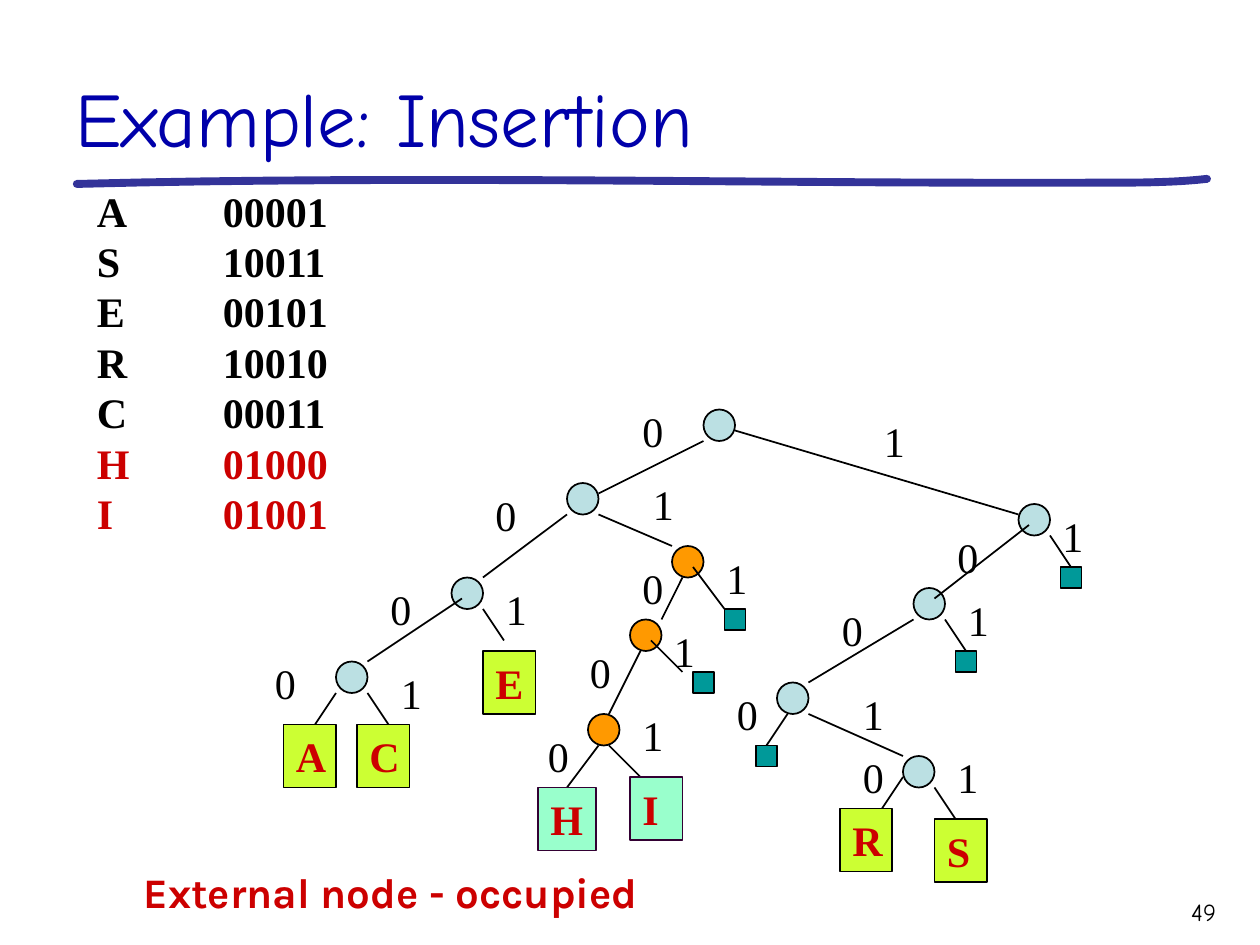
from dataclasses import dataclass
from lxml.etree import SubElement
from pptx import Presentation
from pptx.dml.color import RGBColor
from pptx.enum.shapes import MSO_CONNECTOR, MSO_SHAPE
from pptx.enum.text import MSO_ANCHOR, PP_ALIGN
from pptx.oxml.ns import qn
from pptx.util import Inches, Pt


@dataclass(frozen=True)
class Theme:
    title: str = "0000AA"
    rule: str = "333399"
    ink: str = "000000"
    red: str = "CC0000"
    node: str = "BBE0E3"
    fresh: str = "FF9900"
    empty: str = "009999"
    leaf: str = "CCFF33"
    added: str = "99FFCC"
    plum: str = "330033"
    hand: str = "Comic Neue"
    serif: str = "Times New Roman"
    sans: str = "Karla"
    big: int = 44
    body: int = 24
    small: int = 14


T = Theme()
UNIT = 1 / 12  # the tree sits on a grid of twelfths of an inch

CODES = [("A", "00001"), ("S", "10011"), ("E", "00101"), ("R", "10010"),
         ("C", "00011"), ("H", "01000"), ("I", "01001")]
NEW = "HI"

# Tree parts in grid units, from the corner of the tree's box
NODES = [(43, 3), (30, 10), (19, 19), (8, 27), (73, 12), (63, 20), (50, 29), (62, 36)]
FRESH = [(40, 16), (36, 23), (32, 32)]
EDGES = [
    (43, 6, 33, 11), (30, 13, 22, 19), (20, 21, 11, 27), (46, 5, 73, 13),
    (74, 14, 65, 21), (63, 23, 53, 29), (53, 32, 62, 36), (33, 13, 40, 16),
    (22, 22, 24, 25), (11, 30, 13, 33), (76, 15, 78, 18), (66, 23, 68, 26),
    (65, 39, 67, 42), (8, 30, 6, 33), (51, 32, 49, 35), (62, 38, 60, 41),
    (41, 19, 39, 23), (37, 26, 34, 32), (42, 18, 45, 22), (38, 25, 41, 28),
    (33, 35, 30, 39), (34, 35, 38, 39),
]
EMPTY = [(77, 18), (67, 26), (48, 35), (45, 22), (42, 28)]
LEAVES = [("A", 3, 33, 5), ("C", 10, 33, 5), ("E", 22, 26, 5), ("R", 56, 41, 5),
          ("S", 65, 42, 5), ("H", 27.25, 39, 5.5), ("I", 36, 38, 5)]
BITS = {
    "0": [(36, 2), (22, 10), (12, 19), (1, 26), (66, 14), (55, 21), (45, 29),
          (57, 35), (36, 17), (31, 25), (27, 33)],
    "1": [(59, 3), (76, 12), (67, 20), (57, 29), (66, 35), (37, 9), (23, 19),
          (13, 27), (44, 16), (39, 23), (36, 31)],
}


def style(para, font, size, color, bold=False):
    para.font.name = font
    para.font.size = Pt(size)
    para.font.bold = bold
    para.font.color.rgb = RGBColor.from_string(color)


def label(slide, box, text, font, size, color, bold=False, wrap=False):
    frame = slide.shapes.add_textbox(*map(Inches, box)).text_frame
    frame.word_wrap = wrap
    para = frame.paragraphs[0]
    para.text = text
    style(para, font, size, color, bold)
    return frame


def block(slide, kind, box, fill, line=T.ink):
    shape = slide.shapes.add_shape(kind, *map(Inches, box))
    shape.shadow.inherit = False
    shape.fill.solid()
    shape.fill.fore_color.rgb = RGBColor.from_string(fill)
    shape.line.color.rgb = RGBColor.from_string(line)
    shape.line.width = Pt(1)
    return shape


def edge(slide, ends):
    link = slide.shapes.add_connector(MSO_CONNECTOR.STRAIGHT, *map(Inches, ends))
    link.line.color.rgb = RGBColor.from_string(T.ink)
    link.line.width = Pt(1)
    SubElement(link._element.spPr, qn("a:effectLst"))
    return link


def curve(a, b, c, d, steps=16):
    """Points along a cubic curve, after its start."""
    for i in range(1, steps + 1):
        t = i / steps
        s = 1 - t
        yield tuple(Inches(s**3 * p + 3 * s * s * t * q + 3 * s * t * t * r + t**3 * e)
                    for p, q, r, e in zip(a, b, c, d))


def header(slide, left, top, width, height):
    # Hand-drawn rule
    def spot(x, y):
        return left + x, top + y

    start, bend, end = spot(0.11, 1.29), spot(8.26, 1.28), spot(9.08, 1.25)
    pen = slide.shapes.build_freeform(*map(Inches, start), scale=1.0)
    points = [*curve(start, spot(2.83, 1.22), spot(5.55, 1.29), bend),
              *curve(bend, spot(8.54, 1.28), spot(8.81, 1.28), end)]
    pen.add_line_segments(points, close=False)
    rule = pen.convert_to_shape()
    rule.shadow.inherit = False
    rule.fill.background()
    rule.line.color.rgb = RGBColor.from_string(T.rule)
    rule.line.width = Pt(4.5)
    rule.line._get_or_add_ln().set("cap", "rnd")
    # Title
    frame = label(slide, (left, top, width, height), "Example: Insertion",
                  T.hand, T.big, T.title, wrap=True)
    frame.vertical_anchor = MSO_ANCHOR.BOTTOM


def codes(slide, left, top, width, height):
    frame = slide.shapes.add_textbox(*map(Inches, (left, top, width, height))).text_frame
    frame.word_wrap = False
    for i, (key, bits) in enumerate(CODES):
        para = frame.add_paragraph() if i else frame.paragraphs[0]
        para.text = f"{key}\t{bits}"
        tabs = SubElement(para._p.get_or_add_pPr(), qn("a:tabLst"))
        SubElement(tabs, qn("a:tab"), pos=str(Inches(1)), algn="l")
        style(para, T.serif, T.body, T.red if key in NEW else T.ink, True)


def tree(slide, left, top):
    def place(x, y, w, h):
        return left + x * UNIT, top + y * UNIT, w * UNIT, h * UNIT

    # Inner nodes
    for spots, fill in ((NODES, T.node), (FRESH, T.fresh)):
        for x, y in spots:
            block(slide, MSO_SHAPE.OVAL, place(x, y, 3, 3), fill)
    # Edges, kept by their lower end
    links = {}
    for x, y, u, v in EDGES:
        links[u, v] = edge(slide, place(x, y, 0, 0)[:2] + place(u, v, 0, 0)[:2])

    def box(x, y, w, h, fill, line=T.ink):
        shape = block(slide, MSO_SHAPE.RECTANGLE, place(x, y, w, h), fill, line)
        link = links.get((x + w / 2, y))
        if link:
            link.end_connect(shape, 0)
        return shape

    # External nodes: empty, then occupied
    for x, y in EMPTY:
        box(x, y, 2, 2, T.empty)
    for key, x, y, w in LEAVES:
        look = (T.added, T.plum) if key in NEW else (T.leaf, T.ink)
        frame = box(x, y, w, 6, *look).text_frame
        frame.word_wrap = False
        frame.vertical_anchor = MSO_ANCHOR.TOP
        para = frame.paragraphs[0]
        para.text = key
        para.alignment = PP_ALIGN.LEFT
        style(para, T.serif, T.body, T.red, True)
    # Bits on the edges
    for bit, spots in BITS.items():
        for x, y in spots:
            label(slide, place(x, y, 4.3, 6), bit, T.serif, T.body, T.ink)


def footer(slide, left, top):
    label(slide, (left, top, 4.36, 0.5), "External node - occupied",
          T.sans, T.body, T.red, True)
    page = label(slide, (left + 7.71, top + 0.24, 1, 0.35), "49",
                 T.hand, T.small, T.ink, wrap=True)
    page.paragraphs[0].alignment = PP_ALIGN.RIGHT


def main():
    deck = Presentation()
    deck.slide_width, deck.slide_height = Inches(10), Inches(7.5)
    slide = deck.slides.add_slide(deck.slide_layouts[6])
    header(slide, 0.5, 0.17, 9.25, 1.17)
    codes(slide, 0.67, 1.42, 2.03, 2.9)
    tree(slide, 2, 3)
    footer(slide, 1.04, 6.83)
    deck.save("out.pptx")


if __name__ == "__main__":
    main()
